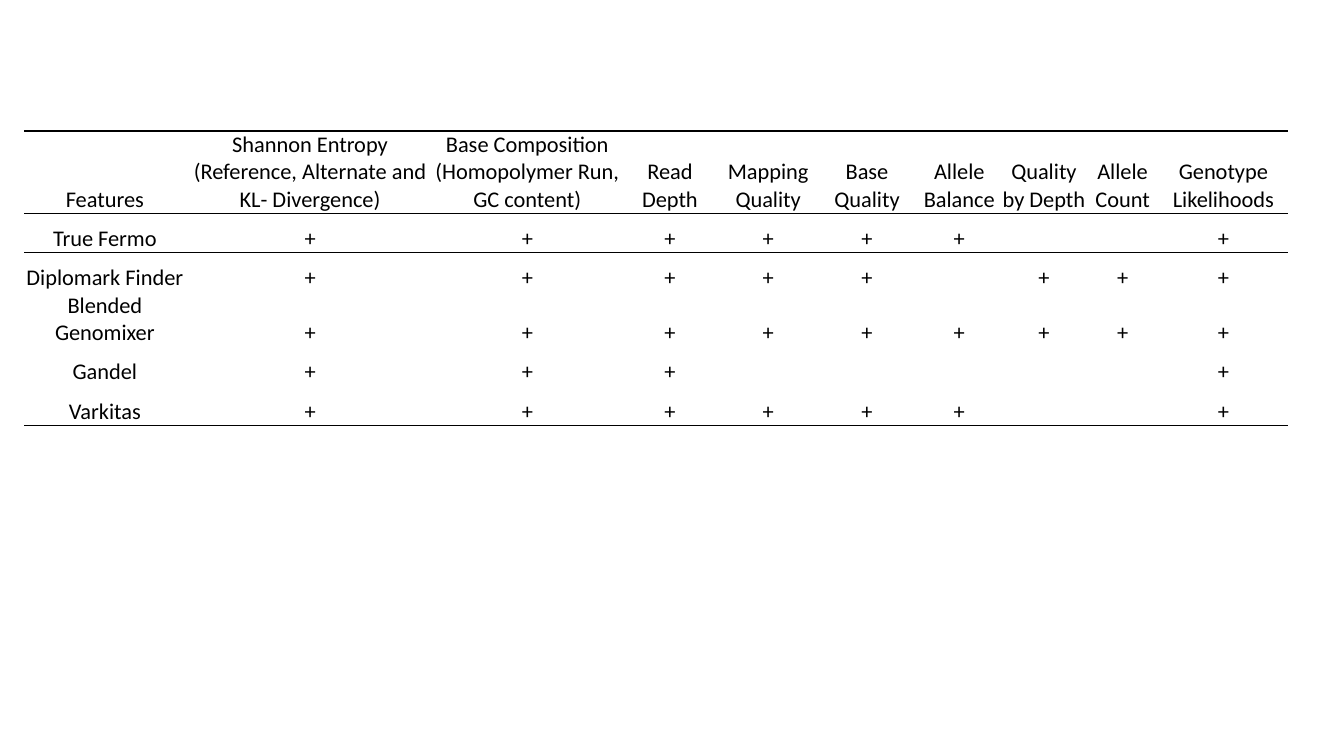
from lxml.etree import SubElement
from pptx import Presentation
from pptx.dml.color import RGBColor
from pptx.enum.text import MSO_ANCHOR, PP_ALIGN
from pptx.oxml import parse_xml
from pptx.oxml.ns import nsdecls, qn
from pptx.util import Inches, Pt

# Content: column heads with widths, then callers with one mark per feature
HEADS = [
    ("Features", 1.6),
    ("Shannon Entropy (Reference, Alternate and KL- Divergence)", 2.47),
    ("Base Composition (Homopolymer Run, GC content)", 1.84),
    ("Read Depth", 0.99),
    ("Mapping Quality", 0.96),
    ("Base Quality", 1),
    ("Allele Balance", 0.83),
    ("Quality by Depth", 0.85),
    ("Allele Count", 0.71),
    ("Genotype Likelihoods", 1.29),
]
CALLERS = [
    ("True Fermo", "++++++  +"),
    ("Diplomark Finder", "+++++ +++"),
    ("Blended Genomixer", "+++++++++"),
    ("Gandel", "+++     +"),
    ("Varkitas", "++++++  +"),
]
INK = "000000"
LEFT, TOP = 0.24, 1.3
HEAD, ROW = 0.78, 0.39
PLAIN = "{2D5ABB26-0587-4C30-8999-92F81FD0307C}"  # no style, no grid


def color(code):
    return RGBColor.from_string(code)


def rule(cell, side):
    """Draw a one-point line on the given side of a cell."""
    line = parse_xml(f'<a:{side} {nsdecls("a")} w="{Pt(1)}"/>')
    fill = SubElement(line, qn("a:solidFill"))
    SubElement(fill, qn("a:srgbClr"), val=INK)
    cell._tc.get_or_add_tcPr().insert(0, line)


def write(cell, text):
    cell.margin_left = cell.margin_right = 0
    cell.margin_top = cell.margin_bottom = 0
    cell.vertical_anchor = MSO_ANCHOR.BOTTOM
    cell.fill.background()
    cell.text = text
    para = cell.text_frame.paragraphs[0]
    para.alignment = PP_ALIGN.CENTER
    font = para.font
    font.name, font.size = "Calibri", Pt(16)
    font.color.rgb = color(INK)


deck = Presentation()
deck.slide_width, deck.slide_height = Inches(13.33), Inches(7.5)
slide = deck.slides.add_slide(deck.slide_layouts[6])

# Table grid
rows = [[name for name, _ in HEADS]]
rows += [[name, *(mark.strip() for mark in marks)] for name, marks in CALLERS]
wide = sum(width for _, width in HEADS)
high = HEAD + ROW * len(CALLERS)
frame = slide.shapes.add_table(len(rows), len(HEADS), Inches(LEFT), Inches(TOP),
                               Inches(wide), Inches(high))
table = frame.table
table.first_row = table.horz_banding = False
table._tbl.tblPr.find(qn("a:tableStyleId")).text = PLAIN
for col, (_, width) in zip(table.columns, HEADS):
    col.width = Inches(width)
for r, row in enumerate(table.rows):
    row.height = Inches(ROW if r else HEAD)

# Cells, with lines around the head, below the first caller and at the end
for r, texts in enumerate(rows):
    for c, text in enumerate(texts):
        cell = table.cell(r, c)
        write(cell, text)
        if r in (0, 1, len(rows) - 1):
            rule(cell, "lnB")
        if r == 0:
            rule(cell, "lnT")

deck.save("out.pptx")
